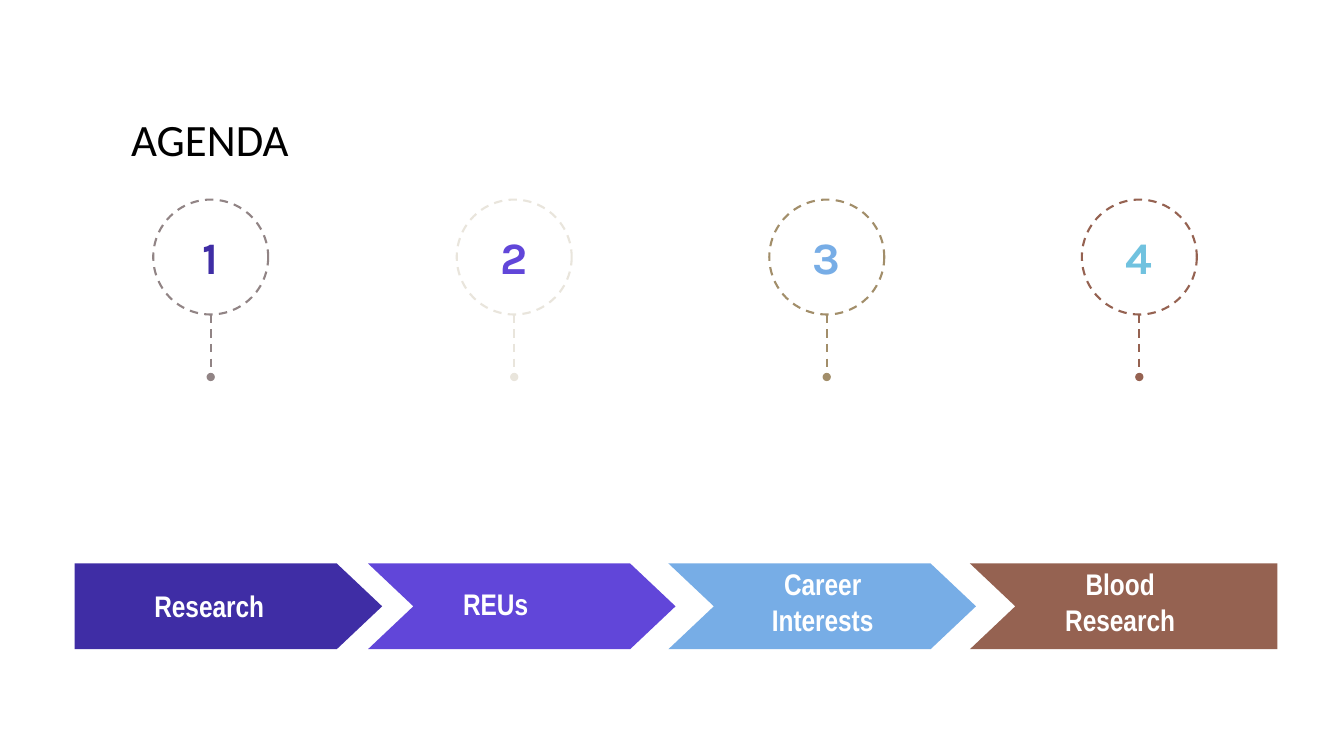
from dataclasses import dataclass

from lxml import etree
from pptx import Presentation
from pptx import util as u
from pptx.dml.color import RGBColor
from pptx.enum import dml, shapes, text
from pptx.oxml.ns import qn

WIDTH, HEIGHT = 13.33, 7.5
BLACK = RGBColor(0x00, 0x00, 0x00)
WHITE = RGBColor(0xFF, 0xFF, 0xFF)
INDIGO = RGBColor(0x3F, 0x2D, 0xA5)
VIOLET = RGBColor(0x61, 0x46, 0xD9)
BLUE = RGBColor(0x77, 0xAD, 0xE6)
AQUA = RGBColor(0x70, 0xC2, 0xDF)
BROWN = RGBColor(0x95, 0x62, 0x51)
MAUVE = RGBColor(0x91, 0x84, 0x85)
CREAM = RGBColor(0xE9, 0xE5, 0xDC)
SAND = RGBColor(0xA2, 0x8E, 0x6A)

PIN_TOP, PIN_WIDTH, PIN_HEIGHT = 1.98, 1.14, 1.76
BAND_TOP, BAND_WIDTH, BAND_HEIGHT = 5.59, 3.05, 0.85
INSET = 0.13


@dataclass
class Box:
    """A region of the slide, in inches."""
    left: float
    top: float
    width: float
    height: float

    def inches(self):
        return [u.Inches(v) for v in (self.left, self.top, self.width, self.height)]

    def point(self, across, down):
        """Position at the given shares of the box."""
        return (u.Inches(self.left + across * self.width),
                u.Inches(self.top + down * self.height))


@dataclass
class Topic:
    label: str
    pin_centre: float
    pin_color: RGBColor
    number_color: RGBColor
    band_left: float
    band_color: RGBColor
    label_box: Box


TOPICS = [
    Topic("Research", 2.09, MAUVE, INDIGO, 0.74, INDIGO, Box(1.03, 5.76, 2.09, 0.5)),
    Topic("REUs", 5.1, CREAM, VIOLET, 3.65, VIOLET, Box(3.87, 5.74, 2.09, 0.5)),
    Topic("Career Interests", 8.2, SAND, BLUE, 6.63, BLUE, Box(7.33, 5.72, 1.66, 0.5)),
    Topic("Blood Research", 11.3, BROWN, AQUA, 9.62, BROWN, Box(10.28, 5.72, 1.66, 0.5)),
]


def set_frame(frame):
    frame.word_wrap = True
    frame.auto_size = text.MSO_AUTO_SIZE.NONE
    frame.vertical_anchor = text.MSO_ANCHOR.MIDDLE
    frame.margin_left = frame.margin_right = u.Inches(INSET)
    frame.margin_top = frame.margin_bottom = u.Inches(INSET)


def style_text(para, font_name, size, color, bold):
    para.font.name = font_name
    para.font.size = u.Pt(size)
    para.font.bold = bold
    para.font.color.rgb = color


def add_label(page, box, words, font_name, size, color):
    """Bold centred text in the middle of the box."""
    frame = page.shapes.add_textbox(*box.inches()).text_frame
    set_frame(frame)
    para = frame.paragraphs[0]
    para.text = words
    para.alignment = text.PP_ALIGN.CENTER
    style_text(para, font_name, size, color, True)


def dash_line(line, color):
    line.color.rgb = color
    line.width = u.Pt(1.5)
    line.dash_style = dml.MSO_LINE.DASH


def add_title(page, box, words):
    title = page.shapes.title
    title.left, title.top, title.width, title.height = box.inches()
    set_frame(title.text_frame)
    para = title.text_frame.paragraphs[0]
    para.text = words
    para.alignment = text.PP_ALIGN.LEFT
    para.line_spacing = 0.9
    style_text(para, "Calibri", 32, BLACK, False)


def add_pin(page, box, number, line_color, number_color):
    """Dashed circle with a number, and a stem ending in a dot."""
    circle_box = Box(box.left, box.top, box.width, box.width)
    circle = page.shapes.add_shape(shapes.MSO_SHAPE.OVAL, *circle_box.inches())
    circle.shadow.inherit = False
    circle.rotation = 180
    circle.fill.background()
    dash_line(circle.line, line_color)

    stem = page.shapes.add_connector(shapes.MSO_CONNECTOR.STRAIGHT,
                                     *circle_box.point(0.5, 1), *box.point(0.5, 1))
    dash_line(stem.line, line_color)
    etree.SubElement(stem.line._get_or_add_ln(), qn("a:tailEnd"), type="oval")
    etree.SubElement(stem._element.spPr, qn("a:effectLst"))

    number_box = Box(box.left + 0.14, box.top + 0.17, box.width - 0.28, 0.79)
    add_label(page, number_box, str(number), "Karla", 32, number_color)


def add_band(page, box, color, notched, pointed):
    """Arrow band, with an optional notch at the left and point at the right."""
    tip = 0.45 / box.width
    shoulder = 1 - tip if pointed else 1
    outline = [(shoulder, 0), (1, 0.5), (shoulder, 1), (0, 1)]
    if notched:
        outline.append((tip, 0.5))
    builder = page.shapes.build_freeform(*box.point(0, 0))
    builder.add_line_segments([box.point(*corner) for corner in outline])
    band = builder.convert_to_shape()
    band.shadow.inherit = False
    band.fill.solid()
    band.fill.fore_color.rgb = color
    band.line.fill.background()


def add_agenda(deck):
    page = deck.slides.add_slide(deck.slide_layouts[5])
    add_title(page, Box(1.17, 0.53, 11, 1.76), "AGENDA")
    for number, topic in enumerate(TOPICS, start=1):
        band_box = Box(topic.band_left, BAND_TOP, BAND_WIDTH, BAND_HEIGHT)
        add_band(page, band_box, topic.band_color,
                 notched=number > 1, pointed=number < len(TOPICS))
        pin_box = Box(topic.pin_centre - PIN_WIDTH / 2, PIN_TOP, PIN_WIDTH, PIN_HEIGHT)
        add_pin(page, pin_box, number, topic.pin_color, topic.number_color)
        add_label(page, topic.label_box, topic.label, "Arial Narrow", 21.3, WHITE)


def main():
    deck = Presentation()
    deck.slide_width, deck.slide_height = u.Inches(WIDTH), u.Inches(HEIGHT)
    add_agenda(deck)
    deck.save("out.pptx")


if __name__ == "__main__":
    main()
